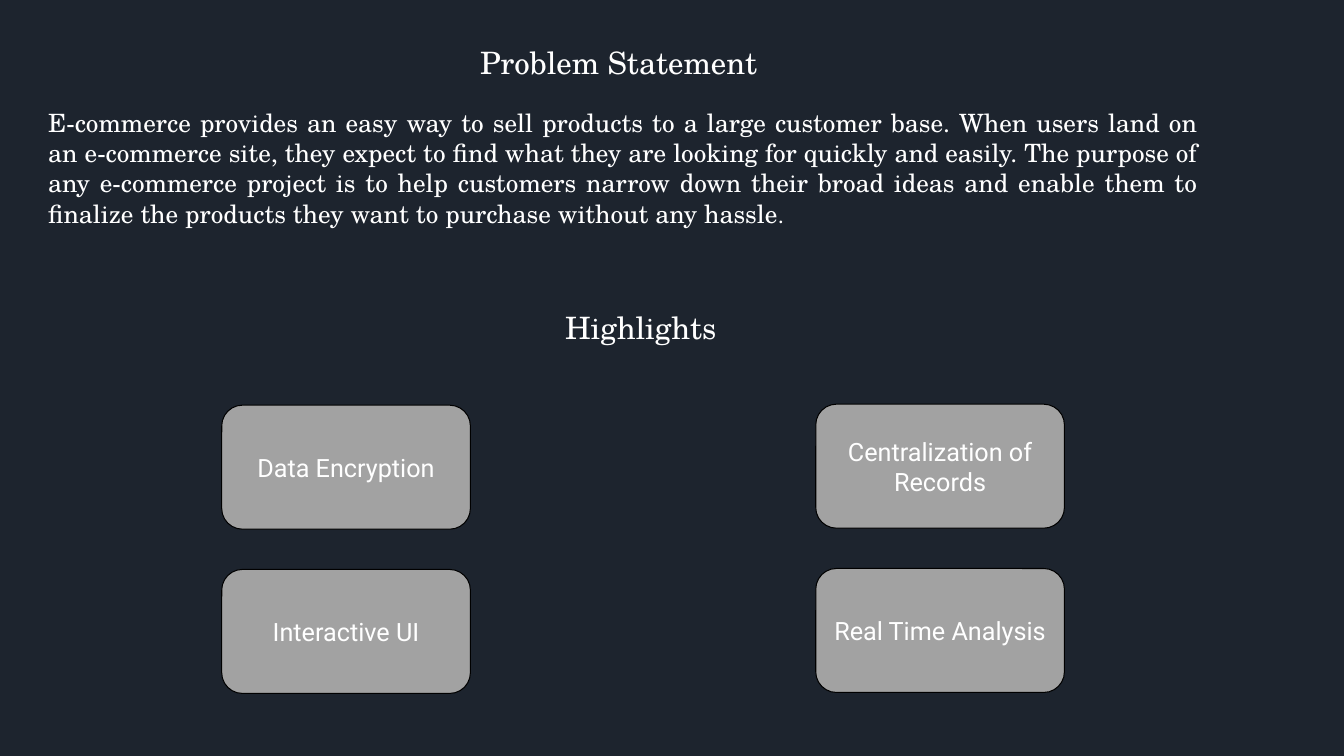
import pptx
import pptx.dml.color
import pptx.enum.shapes
import pptx.enum.text
import pptx.util

COLORS = {"background": "1D242E", "text": "FFFFFF", "card": "A2A2A2", "outline": "000000"}
SERIF, SANS = "TeX Gyre Schola", "Roboto"
ALIGN = pptx.enum.text.PP_ALIGN


def rgb(name):
    """Return the named palette colour."""
    return pptx.dml.color.RGBColor.from_string(COLORS[name])


def write(paragraph, text, *, size, font=SERIF, color="text", align=ALIGN.CENTER, before=0):
    """Append a formatted run to a paragraph."""
    paragraph.alignment = align
    paragraph.space_before = pptx.util.Pt(before)
    run = paragraph.add_run()
    run.text = text
    run.font.size = pptx.util.Pt(size)
    run.font.name = font
    run.font.color.rgb = rgb(color)


class SlideBuilder:
    """Holds the style and the slide; lengths are percentages of the slide's size."""

    heading_size, body_size, stop_size, body_gap = 22, 18, 16, 19.2

    def __init__(self, deck):
        """Add a blank slide with the dark background."""
        self.deck = deck
        self.slide = deck.slides.add_slide(deck.slide_layouts[6])
        self.slide.background.fill.solid()
        self.slide.background.fill.fore_color.rgb = rgb("background")

    def place(self, left, top, width, height):
        """Turn percentages into slide lengths."""
        across, down = self.deck.slide_width / 100, self.deck.slide_height / 100
        return int(left * across), int(top * down), int(width * across), int(height * down)

    def section(self, area, heading):
        """Add a text box opening with a centred heading and return its frame."""
        frame = self.slide.shapes.add_textbox(*self.place(*area)).text_frame
        frame.word_wrap = True
        write(frame.paragraphs[0], heading, size=self.heading_size)
        return frame

    def body(self, frame, statement, stop):
        """Add a justified paragraph closed by a smaller full stop."""
        paragraph = frame.add_paragraph()
        for text, size in ((statement, self.body_size), (stop, self.stop_size)):
            write(paragraph, text, size=size, align=ALIGN.JUSTIFY, before=self.body_gap)

    def card(self, area, label):
        """Add a rounded card with a centred label."""
        card = self.slide.shapes.add_shape(
            pptx.enum.shapes.MSO_SHAPE.ROUNDED_RECTANGLE, *self.place(*area))
        card.shadow.inherit = False
        card.fill.solid()
        card.fill.fore_color.rgb = rgb("card")
        card.line.color.rgb = rgb("outline")
        card.line.width = pptx.util.Pt(0.75)
        frame = card.text_frame
        frame.word_wrap = True
        frame.vertical_anchor = pptx.enum.text.MSO_ANCHOR.MIDDLE
        write(frame.paragraphs[0], label, size=self.body_size, font=SANS)


STATEMENT = (
    "E-commerce provides an easy way to sell products to a large customer base. "
    "When users land on an e-commerce site, they expect to find what they are looking "
    "for quickly and easily. The purpose of any e-commerce project is to help customers "
    "narrow down their broad ideas and enable them to finalize the products they want "
    "to purchase without any hassle"
)
HIGHLIGHTS = [
    ["Data Encryption", "Centralization of Records"],
    ["Interactive UI", "Real Time Analysis"],
]
CARD_LEFT, CARD_TOP, CARD_WIDTH, CARD_HEIGHT = 16.5, 53.6, 18.5, 16.4
COLUMN_STEP, ROW_STEP, COLUMN_RISE = 44.2, 21.73, 0.13

deck = pptx.Presentation()
deck.slide_width, deck.slide_height = pptx.util.Inches(13.33), pptx.util.Inches(7.5)
builder = SlideBuilder(deck)

problem = builder.section((2.85, 5.07, 87, 26), "Problem Statement ")
builder.body(problem, STATEMENT, ".")
builder.section((4.65, 40.13, 86.05, 54.8), "Highlights")

for row, labels in enumerate(HIGHLIGHTS):
    for column, label in enumerate(labels):
        left = CARD_LEFT + column * COLUMN_STEP
        top = CARD_TOP + row * ROW_STEP - column * COLUMN_RISE
        builder.card((left, top, CARD_WIDTH, CARD_HEIGHT), label)

deck.save("out.pptx")
